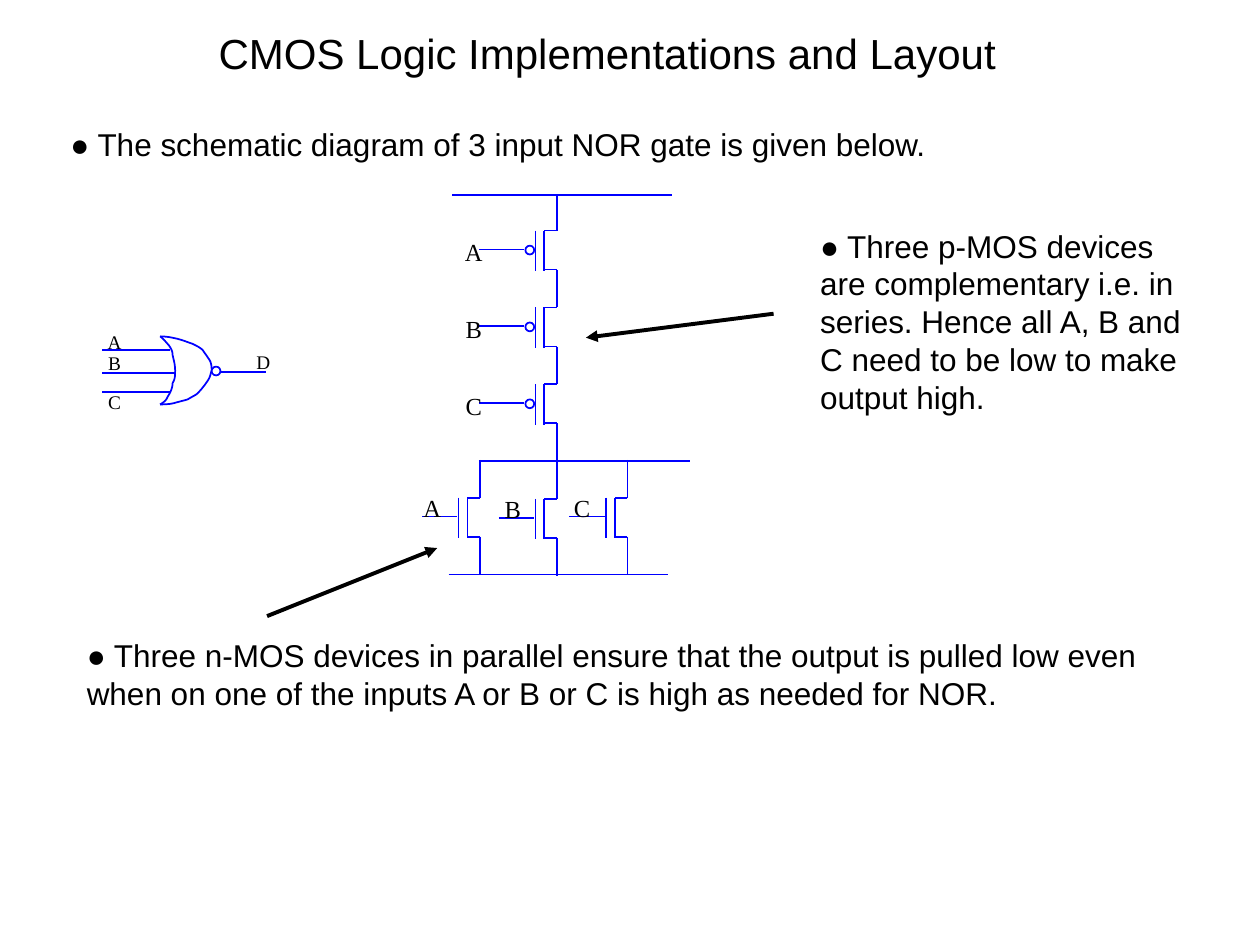
from lxml import etree
from pptx import Presentation
from pptx import util as u
from pptx.dml.color import RGBColor
from pptx.enum import shapes, text
from pptx.oxml.ns import qn

COLORS = {"wire": "0000FF", "ink": "000000", "paper": "FFFFFF"}
SANS, SERIF = "Arial", "Times New Roman"
THIN, THICK = 0.99, 2.24
BUBBLE = 0.07


def rgb(name):
    return RGBColor.from_string(COLORS[name])


def add_text(parent, box, words, size, font=SANS, centred=False, margin=(0.1, 0.05),
             wrap=True, before=0):
    sp = parent.shapes.add_textbox(*[u.Inches(v) for v in box])
    tf = sp.text_frame
    tf.word_wrap = wrap
    tf.auto_size = text.MSO_AUTO_SIZE.SHAPE_TO_FIT_TEXT
    tf.margin_left = tf.margin_right = u.Inches(margin[0])
    tf.margin_top = tf.margin_bottom = u.Inches(margin[1])
    tf.text = words
    p = tf.paragraphs[0]
    p.alignment = text.PP_ALIGN.CENTER if centred else text.PP_ALIGN.LEFT
    p.space_before = u.Pt(before)
    r = p.runs[0]
    r.font.size, r.font.name = u.Pt(size), font
    r.font.color.rgb = rgb("ink")


def add_label(parent, x, y, letter, size):
    """Single letter centred on x, with its top at y."""
    w, h = size / 100, size / 60
    add_text(parent, (x - w / 2, y, w, h), letter, size, SERIF, True, (0, 0), False)


def add_line(parent, x1, y1, x2, y2, color="wire", width=THIN, arrow=False):
    ln = parent.shapes.add_connector(shapes.MSO_CONNECTOR.STRAIGHT,
                                     *[u.Inches(v) for v in (x1, y1, x2, y2)])
    ln.line.color.rgb, ln.line.width = rgb(color), u.Pt(width)
    if arrow:
        etree.SubElement(ln.line._get_or_add_ln(), qn("a:tailEnd"), type="triangle")
    etree.SubElement(ln._element.spPr, qn("a:effectLst"))


def style_outline(sp):
    sp.shadow.inherit = False
    sp.line.color.rgb, sp.line.width = rgb("wire"), u.Pt(THIN)


def add_bubble(parent, x, y):
    """Inversion circle with its left top corner at x, y."""
    sp = parent.shapes.add_shape(shapes.MSO_SHAPE.OVAL, u.Inches(x), u.Inches(y),
                                 u.Inches(BUBBLE), u.Inches(BUBBLE))
    sp.fill.solid()
    sp.fill.fore_color.rgb = rgb("paper")
    style_outline(sp)


def add_curve(parent, x, y, start, beziers, steps=8):
    """Open outline through cubic Bezier pieces, relative to x, y."""
    pts = [start]
    for a, b, c in beziers:
        o = pts[-1]
        for i in range(1, steps + 1):
            t = i / steps
            k = ((1 - t) ** 3, 3 * t * (1 - t) ** 2, 3 * t * t * (1 - t), t ** 3)
            pts.append(tuple(sum(f * q[d] for f, q in zip(k, (o, a, b, c)))
                             for d in (0, 1)))
    pts = [(u.Inches(x + px), u.Inches(y + py)) for px, py in pts]
    fb = parent.shapes.build_freeform(*pts[0])
    fb.add_line_segments(pts[1:], close=False)
    sp = fb.convert_to_shape()
    sp.fill.background()
    style_outline(sp)


def transistor(parent, x, y, p_type):
    """MOS device: x is the drain/source wire, y the top of the channel."""
    for x1, y1, x2, y2 in [(x, y, x - 0.1, y), (x - 0.1, y, x - 0.1, y + 0.32),
                           (x, y + 0.31, x - 0.1, y + 0.31),
                           (x, y + 0.31, x, y + 0.61),
                           (x - 0.17, y, x - 0.17, y + 0.32)]:
        add_line(parent, x1, y1, x2, y2)
    if p_type:
        add_bubble(parent, x - 0.25, y + 0.12)
        add_line(parent, x - 0.62, y + 0.15, x - 0.26, y + 0.15)
    else:
        add_line(parent, x, y - 0.3, x, y)
        add_line(parent, x - 0.46, y + 0.15, x - 0.18, y + 0.15)


def schematic(s, left, top):
    g = s.shapes.add_group_shape()
    x = left + 1.07
    # Supply, output and ground rails
    add_line(g, left + 0.24, top, left + 1.98, top)
    add_line(g, left + 0.45, top + 2.11, left + 2.13, top + 2.11)
    add_line(g, left + 0.21, top + 3.01, left + 1.95, top + 3.01)
    # Pull-up devices in series
    add_line(g, x, top, x, top + 0.28)
    for i, letter in enumerate("ABC"):
        y = top + 0.28 + 0.61 * i
        transistor(g, x, y, True)
        add_label(g, x - 0.66, y + 0.05, letter, 14)
    # Pull-down devices in parallel
    for letter, dx, dy, label_dx in [("A", -0.61, 0, -0.38), ("B", 0, 0.01, -0.35),
                                     ("C", 0.56, 0, -0.36)]:
        y = top + 2.4 + dy
        transistor(g, x + dx, y, False)
        add_label(g, x + dx + label_dx, y - 0.04, letter, 14)


def nor_symbol(s, left, top):
    g = s.shapes.add_group_shape()
    # Gate body: outer front, then inner back
    add_curve(g, left + 0.46, top, (0, 0), [
        ((0.05, 0), (0.1, 0.01), (0.14, 0.02)), ((0.18, 0.03), (0.23, 0.05), (0.26, 0.06)),
        ((0.3, 0.08), (0.32, 0.09), (0.34, 0.11)), ((0.36, 0.14), (0.39, 0.18), (0.4, 0.2)),
        ((0.41, 0.23), (0.41, 0.25), (0.41, 0.27)), ((0.4, 0.3), (0.4, 0.32), (0.38, 0.35)),
        ((0.36, 0.38), (0.33, 0.42), (0.3, 0.45)), ((0.28, 0.47), (0.25, 0.48), (0.22, 0.5)),
        ((0.19, 0.51), (0.14, 0.52), (0.11, 0.53)), ((0.07, 0.54), (0.02, 0.54), (0, 0.54))])
    add_curve(g, left + 0.46, top, (0, 0), [
        ((0.02, 0.01), (0.05, 0.05), (0.07, 0.07)), ((0.09, 0.1), (0.1, 0.12), (0.1, 0.15)),
        ((0.11, 0.19), (0.12, 0.23), (0.12, 0.27)), ((0.12, 0.31), (0.12, 0.34), (0.1, 0.37)),
        ((0.1, 0.41), (0.08, 0.45), (0.06, 0.48)), ((0.05, 0.51), (0.02, 0.53), (0, 0.54))])
    # Inputs and output
    for letter, dy, length, label_dy in [("A", 0.11, 0.54, -0.05), ("B", 0.29, 0.58, 0.12),
                                         ("C", 0.44, 0.54, 0.43)]:
        add_line(g, left, top + dy, left + length, top + dy)
        add_label(g, left + 0.1, top + label_dy, letter, 11)
    add_bubble(g, left + 0.87, top + 0.24)
    add_line(g, left + 0.94, top + 0.28, left + 1.3, top + 0.28)
    add_label(g, left + 1.28, top + 0.11, "D", 11)


def notes_and_title(s):
    add_text(s, (0.18, 0.17, 9.28, 0.5), "CMOS Logic Implementations and Layout",
             24, centred=True, before=15)
    for box, words in [
        ((0.46, 0.94, 8.72, 0.4),
         "● The schematic diagram of 3 input NOR gate is given below."),
        ((0.59, 5, 8.72, 0.7),
         "● Three n-MOS devices in parallel ensure that the output is pulled low even "
         "when on one of the inputs A or B or C is high as needed for NOR."),
        ((6.41, 1.75, 3.25, 1.6),
         "● Three p-MOS devices are complementary i.e. in series. Hence all A, B and C "
         "need to be low to make output high."),
    ]:
        add_text(s, box, words, 18, before=11.2)


prs = Presentation()
prs.slide_width, prs.slide_height = u.Inches(10), u.Inches(7.5)
s = prs.slides.add_slide(prs.slide_layouts[6])
notes_and_title(s)
schematic(s, 3.35, 1.55)
nor_symbol(s, 0.81, 2.67)
# Arrows from the notes to the two networks
for ends in [(2.12, 4.89, 3.47, 4.35), (6.14, 2.49, 4.65, 2.68)]:
    add_line(s, *ends, color="ink", width=THICK, arrow=True)
prs.save("out.pptx")
